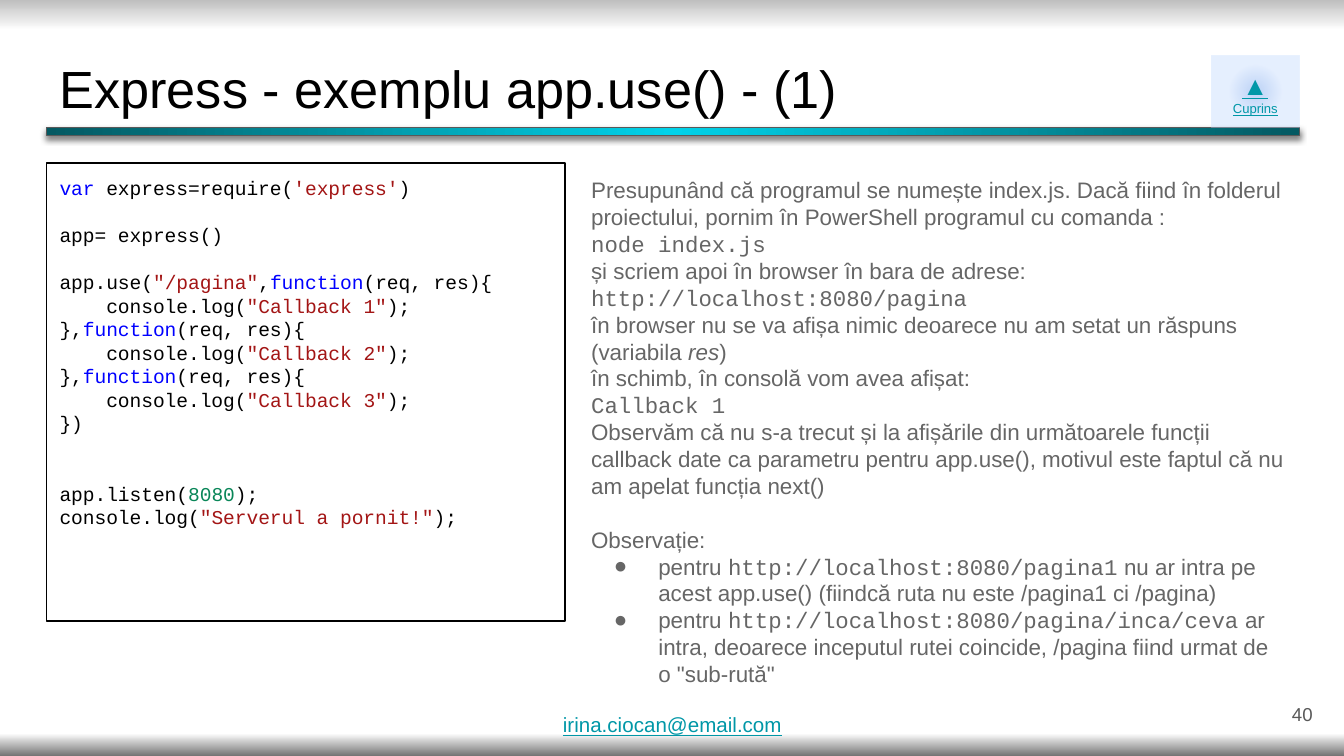
from lxml import etree
from pptx import Presentation, util as u
from pptx.dml.color import RGBColor
from pptx.enum import shapes, text
from pptx.oxml import ns, parse_xml

WIDTH = u.Inches(10)
HEIGHT = WIDTH * 9 // 16
BLACK = RGBColor(0x00, 0x00, 0x00)
GREY = RGBColor(0x66, 0x66, 0x66)
DARK_GREY = RGBColor(0x59, 0x59, 0x59)
LINK = RGBColor(0x00, 0x97, 0xA7)
KEYWORD = RGBColor(0x00, 0x00, 0xFF)
STRING = RGBColor(0xA3, 0x15, 0x15)
NUMBER = RGBColor(0x09, 0x86, 0x58)
CYAN = RGBColor(0x00, 0xD2, 0xE9)
TEAL = RGBColor(0x04, 0x59, 0x62)
PALE_BLUE = RGBColor(0xBC, 0xD6, 0xFF)
BLUE = RGBColor(0x4A, 0x86, 0xE8)
SILVER = RGBColor(0xBF, 0xBF, 0xBF)
WHITE = RGBColor(0xFF, 0xFF, 0xFF)
SLATE = RGBColor(0x73, 0x73, 0x73)
SANS, MONO = "Arial", "Courier New"
CODE_LINE, TEXT_LINE = 12.6, 14.4  # heights of a line, in points


def area(x, y, w, h):
    """Turn percentages of the slide into left, top, width, height."""
    return [int(size * share / 100)
            for size, share in zip((WIDTH, HEIGHT) * 2, (x, y, w, h))]


def set_gradient(parent, stops, alpha=100, radial=True):
    """Replace the solid fill in parent by a gradient of (percent, colour) stops."""
    marks = "".join(
        f'<a:gs pos="{pos * 1000}"><a:srgbClr val="{color}">'
        f'<a:alpha val="{alpha * 1000}"/></a:srgbClr></a:gs>' for pos, color in stops)
    if radial:
        course = ('<a:path path="circle">'
                  '<a:fillToRect l="50000" t="50000" r="50000" b="50000"/></a:path>')
    else:
        course = '<a:lin ang="5400000" scaled="0"/>'
    grad = parse_xml(f'<a:gradFill {ns.nsdecls("a")} rotWithShape="1">'
                     f'<a:gsLst>{marks}</a:gsLst>{course}</a:gradFill>')
    parent.replace(parent.find(ns.qn("a:solidFill")), grad)


def add_rect(s, place, line=None, stops=None, alpha=100):
    sp = s.shapes.add_shape(shapes.MSO_SHAPE.RECTANGLE, *area(*place))
    sp.shadow.inherit = False
    if stops:
        sp.fill.solid()
        set_gradient(sp.element.spPr, stops, alpha)
    else:
        sp.fill.background()
    if line is None:
        sp.line.fill.background()
    else:
        sp.line.color.rgb = line
        sp.line.width = u.Pt(0.75)
    return sp


def add_shadow(sp):
    effects = sp.element.spPr.find(ns.qn("a:effectLst"))
    effects.append(parse_xml(
        f'<a:outerShdw {ns.nsdecls("a")} blurRad="{u.Pt(3.4)}" dist="{u.Pt(1.5)}" '
        'dir="5400000" algn="bl" rotWithShape="0"><a:srgbClr val="000000">'
        '<a:alpha val="50000"/></a:srgbClr></a:outerShdw>'))


def add_bullet(p, size):
    pPr = p._p.get_or_add_pPr()
    pPr.set("marL", str(u.Inches(0.5)))
    pPr.set("indent", str(u.Inches(-0.33)))
    color = etree.SubElement(pPr, ns.qn("a:buClr"))
    etree.SubElement(color, ns.qn("a:srgbClr"), val=str(GREY))
    etree.SubElement(pPr, ns.qn("a:buSzPts"), val=str(size * 100))
    etree.SubElement(pPr, ns.qn("a:buFont"), typeface=SANS)
    etree.SubElement(pPr, ns.qn("a:buChar"), char="●")


def write(sp, paragraphs, size, color, font=SANS, align=text.PP_ALIGN.LEFT,
          anchor=text.MSO_ANCHOR.TOP, underline=False, pad=0.1):
    """Fill sp with paragraphs, each a string or (runs, options).

    A run is a string or (string, format); options are before and bullet.
    """
    tf = sp.text_frame
    tf.word_wrap, tf.vertical_anchor = True, anchor
    tf.margin_left = tf.margin_right = u.Inches(0.1)
    tf.margin_top = tf.margin_bottom = u.Inches(pad)
    for i, item in enumerate(paragraphs):
        runs, options = ([item], {}) if isinstance(item, str) else item
        p = tf.paragraphs[0] if i == 0 else tf.add_paragraph()
        p.alignment = align
        if "before" in options:
            p.space_before = u.Pt(options["before"])
        if options.get("bullet"):
            add_bullet(p, size)
        for run in runs:
            words, look = (run, {}) if isinstance(run, str) else run
            r = p.add_run()
            r.text = words
            r.font.name = look.get("font", font)
            r.font.size = u.Pt(look.get("size", size))
            r.font.color.rgb = look.get("color", color)
            r.font.italic = look.get("italic", False)
            r.font.underline = underline


def add_text(s, place, paragraphs, **fmt):
    write(s.shapes.add_textbox(*area(*place)), paragraphs, **fmt)


def keyword(words):
    return words, {"color": KEYWORD}


def string(words):
    return words, {"color": STRING}


def mono(words):
    return words, {"font": MONO}


def code_lines():
    function = [keyword("function"), "(req, res){"]
    lines = [([keyword("var"), " express=require(", string("'express'"), ")"], {}),
             (["app= express()"], {"before": CODE_LINE})]
    for n in (1, 2, 3):
        if n == 1:
            start = ["app.use(", string('"/pagina"'), ","], {"before": CODE_LINE}
        else:
            start = ["},"], {}
        lines += [(start[0] + function, start[1]),
                  (["    console.log(", string(f'"Callback {n}"'), ");"], {})]
    return lines + [
        "})",
        (["app.listen(", ("8080", {"color": NUMBER}), ");"], {"before": 2 * CODE_LINE}),
        (["console.log(", string('"Serverul a pornit!"'), ");"], {})]


def explanation():
    return [
        "Presupunând că programul se numește index.js. Dacă fiind în folderul "
        "proiectului, pornim în PowerShell programul cu comanda :",
        ([mono("node index.js")], {}),
        "și scriem apoi în browser în bara de adrese:",
        ([mono("http://localhost:8080/pagina")], {}),
        (["în browser nu se va afișa nimic deoarece nu am setat un răspuns (variabila ",
          ("res", {"italic": True}), ")"], {}),
        "în schimb, în consolă vom avea afișat:",
        ([mono("Callback 1")], {}),
        "Observăm că nu s-a trecut și la afișările din următoarele funcții callback "
        "date ca parametru pentru app.use(), motivul este faptul că nu am apelat "
        "funcția next()",
        (["Observație:"], {"before": TEXT_LINE}),
        (["pentru ", mono("http://localhost:8080/pagina1"),
          " nu ar intra pe acest app.use() (fiindcă ruta nu este /pagina1 ci /pagina)"],
         {"bullet": True}),
        (["pentru ", mono("http://localhost:8080/pagina/inca/ceva"),
          " ar intra, deoarece inceputul rutei coincide, /pagina fiind urmat de "
          'o "sub-rută"'], {"bullet": True})]


def main():
    prs = Presentation()
    prs.slide_width, prs.slide_height = WIDTH, HEIGHT
    s = prs.slides.add_slide(prs.slide_layouts[6])
    s.background.fill.solid()
    set_gradient(s.element.find(".//" + ns.qn("p:bgPr")),
                 [(0, SILVER), (4, WHITE), (97, WHITE), (100, SLATE)], radial=False)

    add_text(s, (3.45, 5.7, 93.2, 11.2), ["Express - exemplu app.use() - (1)"],
             size=28, color=BLACK)
    add_shadow(add_rect(s, (3.45, 16.85, 93.25, 1.07), line=DARK_GREY,
                        stops=[(0, CYAN), (100, TEAL)]))
    add_text(s, (92.65, 90.67, 6, 7.65), ["40"], size=10, color=DARK_GREY,
             align=text.PP_ALIGN.RIGHT, anchor=text.MSO_ANCHOR.MIDDLE)
    contents = add_rect(s, (90.13, 7.4, 6.55, 9.45), alpha=37, stops=[
        (0, PALE_BLUE), (0, BLUE), (48, PALE_BLUE), (100, PALE_BLUE)])
    write(contents, [([("▲", {"size": 14})], {}), "Cuprins"], size=7, color=LINK,
          align=text.PP_ALIGN.CENTER, underline=True)
    add_text(s, (40.9, 94.25, 18.4, 4.8), ["irina.ciocan@email.com"], size=11,
             color=LINK, underline=True, pad=0)
    write(add_rect(s, (3.45, 21.55, 38.6, 60.6), line=BLACK), code_lines(),
          size=10.5, color=BLACK, font=MONO)
    add_text(s, (43, 21.55, 53.7, 69.2), explanation(), size=12, color=GREY)
    prs.save("out.pptx")


if __name__ == "__main__":
    main()
